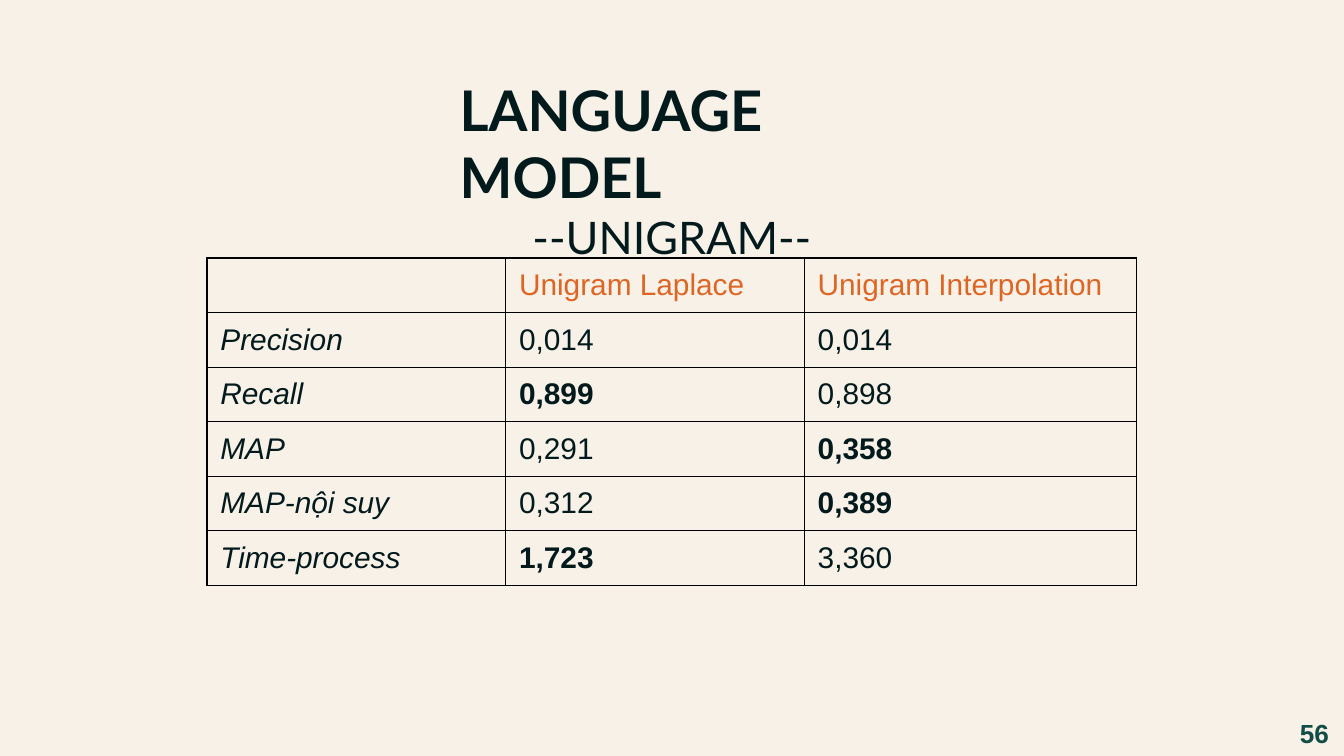
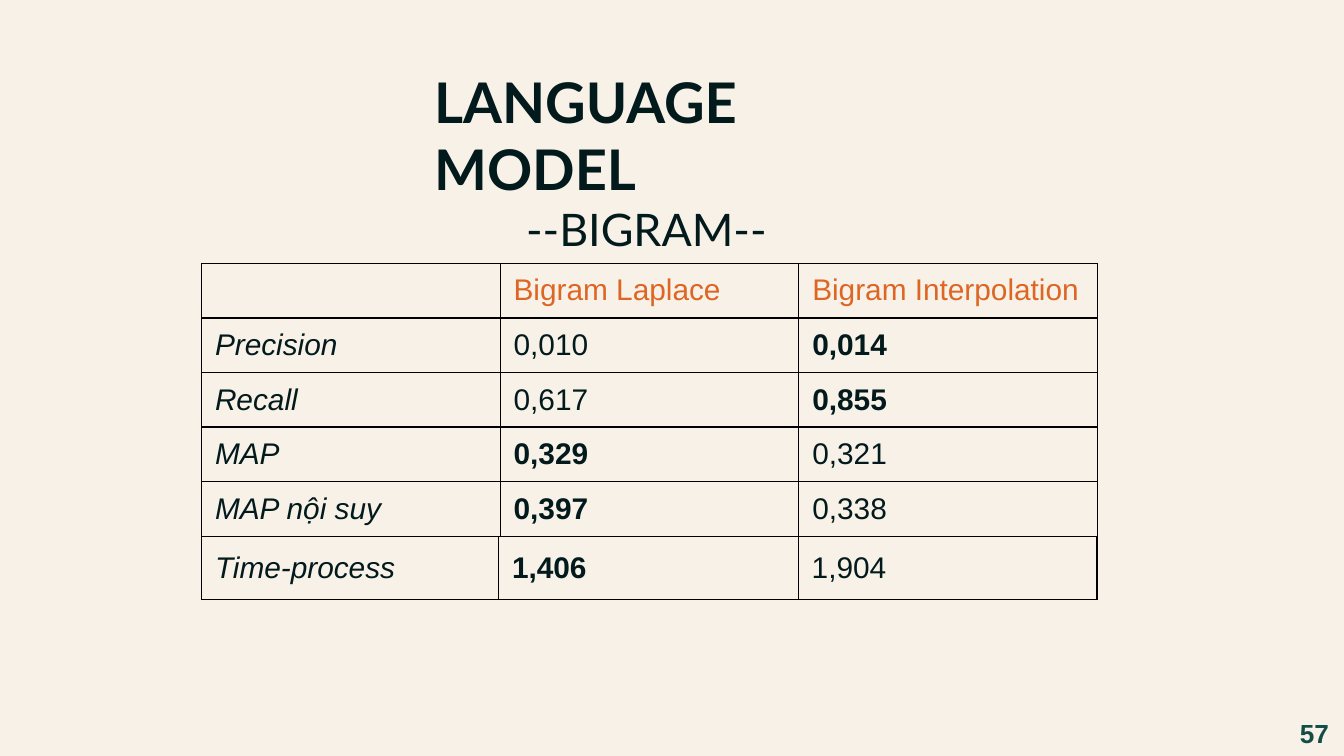
"""Build two slides that compare language models in tables."""
from lxml import etree
from pptx import Presentation
from pptx.dml.color import RGBColor
from pptx.enum.text import MSO_ANCHOR, MSO_AUTO_SIZE, PP_ALIGN
from pptx.oxml.ns import qn
from pptx.util import Inches, Pt

TOP, MIDDLE = MSO_ANCHOR.TOP, MSO_ANCHOR.MIDDLE
LEFT, CENTER = PP_ALIGN.LEFT, PP_ALIGN.CENTER
FIXED = MSO_AUTO_SIZE.NONE
WIDE = 10
HIGH = WIDE * 9 / 16
PAPER, INK, ORANGE, GREEN = "F8F1E8", "031A1D", "DE6624", "124E46"
BODY = 2.03
ROW, COL = BODY / 5, 20 / 9
HEAD = {"name": "Lato", "size": Pt(30), "bold": True}
SUB = {"name": "Lato", "size": Pt(24), "bold": False}
CELL = {"name": "Arial", "size": Pt(16), "bold": False, "italic": False}
PAGE = {"name": "Arial", "size": Pt(14), "bold": True}

SLIDES = [
    {"kind": "Unigram", "page": "56", "title": (3.32, 0.51), "grid": (1.54, 1.92),
     "cols": [COL, COL, 2.47], "last": [COL, COL, 2.47], "foot": ROW,
     "rows": [("Precision", "0,014", "0,014"), ("Recall", "0,899", "0,898"),
              ("MAP", "0,291", "0,358"), ("MAP-nội suy", "0,312", "0,389")],
     "time": ("Time-process", "1,723", "3,360")},
    {"kind": "Bigram", "page": "57", "title": (3.13, 0.45), "grid": (1.5, 1.96),
     "cols": [COL, COL, COL], "last": [2.21, 2.23, COL], "foot": 0.47,
     "rows": [("Precision", "0,010", "0,014"), ("Recall", "0,617", "0,855"),
              ("MAP", "0,329", "0,321"), ("MAP nội suy", "0,397", "0,338")],
     "time": ("Time-process", "1,406", "1,904")},
]


def write(para, text, look, color, align=LEFT):
    """Put styled text in a paragraph."""
    para.alignment = align
    run = para.add_run()
    run.text = text
    for key, value in look.items():
        setattr(run.font, key, value)
    run.font.color.rgb = RGBColor.from_string(color)


def draw(slide, rows, left, top, cols, high, best):
    """Draw a ruled table, with the best value of each row in bold."""
    frame = slide.shapes.add_table(len(rows), len(cols), Inches(left), Inches(top),
                                   Inches(sum(cols)), Inches(high * len(rows)))
    table = frame.table
    table.first_row = table.horz_banding = False
    for col, width in zip(table.columns, cols):
        col.width = Inches(width)
    for r, row in enumerate(rows):
        table.rows[r].height = Inches(high)
        for c, text in enumerate(row):
            cell = table.cell(r, c)
            cell.vertical_anchor = MIDDLE
            props = cell._tc.get_or_add_tcPr()
            for side in "LRTB":
                line = etree.SubElement(props, qn("a:ln" + side), w=str(Pt(0.75)))
                fill = etree.SubElement(line, qn("a:solidFill"))
                etree.SubElement(fill, qn("a:srgbClr"), val="000000")
            cell.fill.background()
            if not text:
                continue
            bold = c > 0 and bool(row[0]) and row[1] != row[2] and text == best(row[1:])
            look = {**CELL, "bold": bold, "italic": c == 0}
            write(cell.text_frame.paragraphs[0], text, look, INK if row[0] else ORANGE)


prs = Presentation()
prs.slide_width, prs.slide_height = Inches(WIDE), Inches(HIGH)
back = prs.slide_master.background.fill
back.solid()
back.fore_color.rgb = RGBColor.from_string(PAPER)

for data in SLIDES:
    slide = prs.slides.add_slide(prs.slide_layouts[5])
    kind = data["kind"]

    title = slide.shapes.title
    title.left, title.top = (Inches(n) for n in data["title"])
    title.width, title.height = Inches(3.36), Inches(1.01)
    text = title.text_frame
    text.word_wrap, text.auto_size, text.vertical_anchor = True, FIXED, TOP
    write(text.paragraphs[0], "LANGUAGE MODEL", HEAD, INK)
    write(text.add_paragraph(), f"--{kind.upper()}--", SUB, INK, CENTER)

    left, top = data["grid"]
    rows = [("", f"{kind} Laplace", f"{kind} Interpolation"), *data["rows"]]
    draw(slide, rows, left, top, data["cols"], ROW, max)
    draw(slide, [data["time"]], left, top + BODY, data["last"], data["foot"], min)

    page = slide.shapes.add_textbox(Inches(WIDE - 0.44), Inches(5.29),
                                    Inches(0.44), Inches(0.34))
    page.text_frame.word_wrap = True
    write(page.text_frame.paragraphs[0], data["page"], PAGE, GREEN, CENTER)

prs.save("out.pptx")
